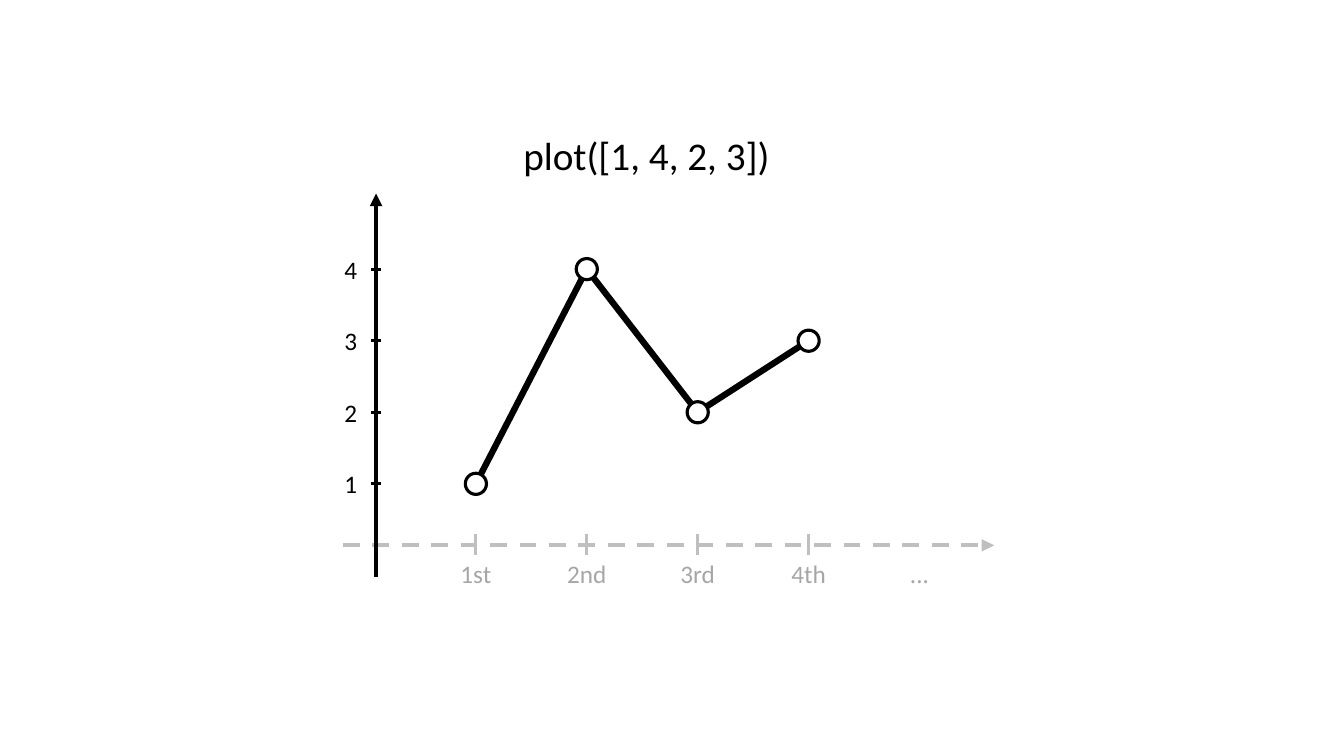
from lxml.etree import SubElement
from pptx import Presentation
from pptx.dml.color import RGBColor
from pptx.enum.dml import MSO_LINE
from pptx.enum.shapes import MSO_CONNECTOR, MSO_SHAPE
from pptx.enum.text import MSO_ANCHOR, MSO_AUTO_SIZE, PP_ALIGN
from pptx.oxml.ns import qn
from pptx.util import Inches, Pt

BLACK = RGBColor(0x00, 0x00, 0x00)
WHITE = RGBColor(0xFF, 0xFF, 0xFF)
AXIS_GRAY = RGBColor(0xBF, 0xBF, 0xBF)
LABEL_GRAY = RGBColor(0xA6, 0xA6, 0xA6)
FONT = "Calibri"

VALUES = [1, 4, 2, 3]
ORDINALS = ["1st", "2nd", "3rd", "4th", "..."]


def add_line(slide, start, end, color, width, dashed=False, arrow=False):
    connector = slide.shapes.add_connector(
        MSO_CONNECTOR.STRAIGHT, *[Inches(length) for length in (*start, *end)])
    connector.line.color.rgb = color
    connector.line.width = Pt(width)
    if dashed:
        connector.line.dash_style = MSO_LINE.DASH
    properties = connector._element.spPr
    if arrow:
        SubElement(properties.find(qn("a:ln")), qn("a:tailEnd"), type="triangle")
    SubElement(properties, qn("a:effectLst"))


def add_label(slide, text, center_x, center_y, color):
    width, height = 0.6, 0.4
    box = slide.shapes.add_textbox(Inches(center_x - width / 2), Inches(center_y - height / 2),
                                   Inches(width), Inches(height))
    box.text_frame.word_wrap = False
    paragraph = box.text_frame.paragraphs[0]
    paragraph.text = text
    paragraph.alignment = PP_ALIGN.CENTER
    paragraph.font.name = FONT
    paragraph.font.size = Pt(18)
    paragraph.font.color.rgb = color


def add_marker(slide, center_x, center_y):
    diameter = 0.21
    marker = slide.shapes.add_shape(
        MSO_SHAPE.OVAL, Inches(center_x - diameter / 2), Inches(center_y - diameter / 2),
        Inches(diameter), Inches(diameter))
    marker.shadow.inherit = False
    marker.fill.solid()
    marker.fill.fore_color.rgb = WHITE
    marker.line.color.rgb = BLACK
    marker.line.width = Pt(2.25)


def add_title(slide, left, top, width, height):
    title = slide.shapes.title
    title.left, title.top = Inches(left), Inches(top)
    title.width, title.height = Inches(width), Inches(height)
    frame = title.text_frame
    frame.word_wrap = False
    frame.auto_size = MSO_AUTO_SIZE.NONE
    frame.vertical_anchor = MSO_ANCHOR.MIDDLE
    paragraph = frame.paragraphs[0]
    paragraph.text = "plot([1, 4, 2, 3])"
    paragraph.alignment = PP_ALIGN.LEFT
    paragraph.font.name = FONT
    paragraph.font.size = Pt(28)
    paragraph.font.color.rgb = BLACK


def add_plot(slide, left, top, width, height):
    axis_x = left + 0.33
    axis_y = top + height - 0.31

    def column(index):
        return left + 1.32 + 1.1 * index

    def level(value):
        return axis_y + 0.1 - 0.71 * value

    # Axes
    add_line(slide, (left, axis_y), (left + width, axis_y), AXIS_GRAY, 3,
             dashed=True, arrow=True)
    add_line(slide, (axis_x, top + height), (axis_x, top), BLACK, 3, arrow=True)

    # Value ticks and labels
    for value in sorted(VALUES):
        y = level(value)
        add_line(slide, (axis_x - 0.05, y), (axis_x + 0.05, y), BLACK, 2.25)
        add_label(slide, str(value), axis_x - 0.25, y, BLACK)

    # Position ticks and labels
    for index in range(len(VALUES)):
        x = column(index)
        add_line(slide, (x, axis_y - 0.11), (x, axis_y + 0.1), AXIS_GRAY, 2.25)
    for index, ordinal in enumerate(ORDINALS):
        add_label(slide, ordinal, column(index), axis_y + 0.28, LABEL_GRAY)

    # Data line, then markers on top
    points = [(column(index), level(value)) for index, value in enumerate(VALUES)]
    for start, end in zip(points, points[1:]):
        add_line(slide, start, end, BLACK, 4.5)
    for point in points:
        add_marker(slide, *point)


def main():
    presentation = Presentation()
    presentation.slide_width = Inches(13.33)
    presentation.slide_height = Inches(7.5)
    slide = presentation.slides.add_slide(presentation.slide_layouts.get_by_name("Title Only"))
    add_title(slide, 5.09, 1.25, 2.68, 0.57)
    add_plot(slide, 3.4, 1.92, 6.46, 3.8)
    presentation.save("out.pptx")


if __name__ == "__main__":
    main()
